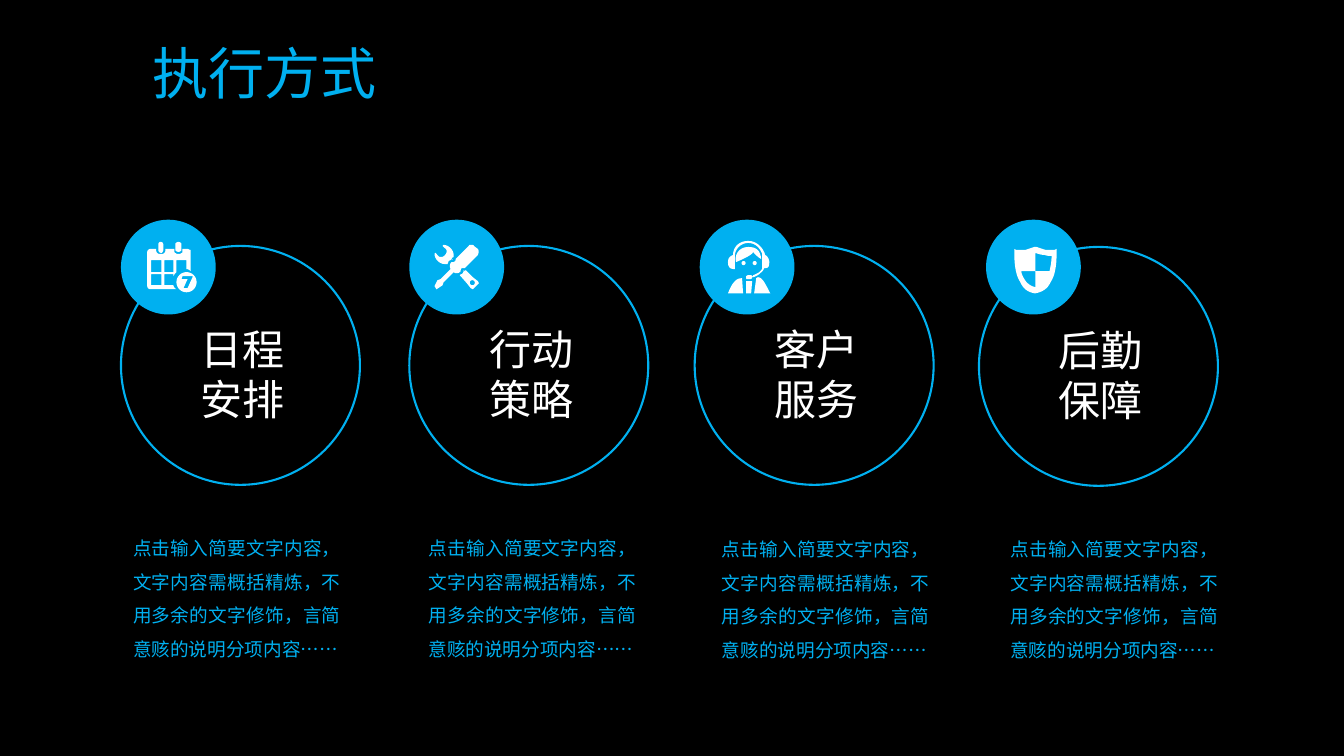
from math import cos, pi, sin

from lxml.etree import SubElement
from pptx import Presentation
from pptx.dml.color import RGBColor
from pptx.enum.shapes import MSO_SHAPE
from pptx.enum.text import MSO_ANCHOR, MSO_AUTO_SIZE, PP_ALIGN
from pptx.oxml.ns import qn
from pptx.util import Inches, Pt

FONT = "Noto Sans CJK SC"
BLUE, WHITE, BLACK = "00B0F0", "FFFFFF", "000000"
RING, DISC = 2.37, 0.94
DETAIL = "点击输入简要文字内容，文字内容需概括精炼，不用多余的文字修饰，言简意赅的说明分项内容……"

# Icon parts in hundredths of an inch from the disc's corner:
# M move, L line, C cubic curve, O circle (centre x, centre y, radius)
CALENDAR = [
    # Binder rings
    """M 57 22 C 56 22 54 23 54 24 L 54 30 C 54 31 56 32 57 32
    C 58 32 60 31 60 30 L 60 24 C 60 23 58 22 57 22""",
    """M 39 22 C 38 22 37 23 37 25 L 37 30 C 37 31 38 33 40 33
    C 41 33 42 31 42 30 L 42 25 C 42 23 41 22 39 22""",
    # Page
    """M 29 29 C 28 29 27 30 27 30 C 26 31 26 32 26 33 L 26 65 C 26 66 26 67 27 68
    C 27 68 28 69 29 69 L 55 69 C 53 68 52 66 52 65 L 43 65 L 43 54 L 52 54 L 52 56
    C 53 54 54 53 55 52 L 55 40 L 65 40 L 65 49 C 67 49 68 50 69 51 L 69 33
    C 69 32 69 31 69 30 C 68 30 67 29 66 29 L 61 29 L 61 31 C 61 32 61 33 60 33
    C 59 34 58 34 57 34 C 56 34 55 34 54 33 C 53 33 53 32 53 31 L 53 29 L 44 29
    L 44 31 C 44 32 43 33 43 33 C 42 34 41 34 40 34 C 38 34 37 34 36 33
    C 36 33 35 32 35 31 L 35 29""",
    # Day cells
    "M 30 40 L 40 40 L 40 52 L 30 52 M 43 40 L 52 40 L 52 52 L 43 52",
    "M 30 54 L 40 54 L 40 65 L 30 65",
    # Date badge
    "O 65 62 10 M 61 56 L 71 56 L 71 57 L 66 68 L 62 68 L 66 59 L 60 59",
]
TOOLS = [
    # Wrench handle and its hole
    """O 62.5 62.5 2.5 M 54 50 L 54 51 L 53 53 L 52 54 C 51 54 50 55 50 55 L 57 63
    L 61 68 L 63 69 L 69 63 L 68 61 L 63 57 L 56 50 L 55 51""",
    # Wrench head
    """M 41 40 L 42 39 L 43 40 L 42 38 L 44 37 C 44 36 44 36 44 35 C 44 30 39 25 34 25
    C 34 25 34 25 33 26 C 37 30 37 29 37 32 C 37 34 34 37 32 37 C 29 37 30 37 26 33
    C 25 33 25 34 25 34 C 25 39 30 44 35 44 L 38 44 C 38 43 39 42 39 41""",
    # Screwdriver
    """M 68 29 L 64 26 C 64 25 63 25 61 25 C 60 25 59 25 59 26 L 46 39
    C 46 40 46 41 45 41 C 45 42 44 42 43 42 L 42 42 L 41 43 C 40 45 40 47 41 49
    L 31 59 L 28 60 L 25 66 L 27 69 L 33 65 L 34 62 L 44 52 C 45 53 46 53 47 53
    C 48 53 49 53 50 52 L 51 51 C 51 50 51 49 52 48 L 55 48 L 68 35
    C 69 33 69 30 68 29""",
]
AGENT = [
    # Headset
    """M 48 21 C 39 21 33 27 33 35 C 30 36 28 38 28 42 C 28 48 31 49 35 49 L 35 35
    C 35 29 41 23 48 23 C 56 23 60 29 62 34 L 62 48 C 62 49 61 50 59 52
    C 56 54 53 55 53 55 C 53 56 52 56 52 57 L 53 57 C 53 57 57 56 60 53
    C 63 51 64 48 64 48 C 67 48 69 48 69 42 C 69 39 67 36 65 35
    C 63 28 57 21 48 21""",
    # Hair and eyes
    """M 48 27 C 39 27 34 35 36 42 C 36 42 53 35 53 32 C 57 37 61 39 61 39
    C 60 30 56 27 48 27 O 43.5 43 2 O 54.5 43 2""",
    # Microphone
    """M 50 55 L 48 55 C 47 55 46 56 46 56 L 46 58 C 46 59 47 59 48 59 L 50 59
    C 51 59 52 58 52 57 L 52 56 C 52 55 51 55 50 55""",
    # Jacket and tie
    "M 58 57 C 57 57 56 58 56 58 L 54 73 L 70 73 C 67 68 63 57 58 57",
    "M 41 58 C 34 58 30 68 28 73 L 43 73 L 42 58",
    "M 46 61 L 46 73 L 51 73 L 52 61",
]
SHIELD = [
    # Rim
    """M 30 30 C 33 30 36 30 39 30 C 42 29 45 28 48 27 L 50 27 C 53 28 56 29 59 30
    C 62 30 65 30 68 30 L 70 29 L 70 33 C 70 47 68 56 64 62 C 61 69 55 72 49 73
    L 48 73 C 42 72 37 69 34 62 C 30 56 28 47 28 33 L 28 29""",
    # Open quarters
    "M 49 51 L 63 51 C 64 46 65 42 65 36 C 63 36 61 36 58 35 C 55 35 52 34 49 33",
    "M 49 67 L 49 51 L 35 51 C 35 54 37 57 38 59 C 41 64 45 66 49 67",
]

# Ring left and top, disc left, detail left and top, two label lines, icon
METHODS = [
    (1.20, 2.44, 1.20, 1.32, 5.22, ("日程", "安排"), CALENDAR),
    (4.06, 2.44, 4.06, 4.25, 5.22, ("行动", "策略"), TOOLS),
    (6.89, 2.44, 6.94, 7.16, 5.23, ("客户", "服务"), AGENT),
    (9.71, 2.45, 9.78, 10.02, 5.23, ("后勤", "保障"), SHIELD),
]


def color(hex_value):
    return RGBColor.from_string(hex_value)


def add_run(paragraph, text, size, hex_value):
    run = paragraph.add_run()
    run.text = text
    run.font.size = Pt(size)
    run.font.color.rgb = color(hex_value)
    run.font.name = FONT
    SubElement(run.font._element, qn("a:ea"), typeface=FONT)


def set_frame(frame, wrap=True, margins=True):
    frame.word_wrap = wrap
    frame.auto_size = MSO_AUTO_SIZE.SHAPE_TO_FIT_TEXT
    frame.vertical_anchor = MSO_ANCHOR.TOP
    if not margins:
        frame.margin_left = frame.margin_right = 0
        frame.margin_top = frame.margin_bottom = 0


def add_circle(slide, left, top, size):
    circle = slide.shapes.add_shape(
        MSO_SHAPE.OVAL, Inches(left), Inches(top), Inches(size), Inches(size))
    circle.shadow.inherit = False
    return circle


def contours(part):
    """Turn a part into lists of points, with curves cut into short lines."""
    tokens = iter(part.split())
    result = []
    for command in tokens:
        count = {"M": 2, "L": 2, "C": 6, "O": 3}[command]
        values = [float(next(tokens)) for _ in range(count)]
        if command == "M":
            result.append([values])
        elif command == "L":
            result[-1].append(values)
        elif command == "O":
            x, y, r = values
            result.append([(x + r * cos(i * pi / 16), y + r * sin(i * pi / 16))
                           for i in range(32)])
        else:
            points = [result[-1][-1], values[:2], values[2:4], values[4:]]
            for t in (i / 8 for i in range(1, 9)):
                weights = ((1 - t) ** 3, 3 * t * (1 - t) ** 2, 3 * t * t * (1 - t), t ** 3)
                result[-1].append([sum(w * p[axis] for w, p in zip(weights, points))
                                   for axis in (0, 1)])
    return result


def add_icon(slide, left, top, parts):
    builder = None
    for contour in (c for part in parts for c in contours(part)):
        start, *rest = [(x * 100, y * 100) for x, y in contour]
        if builder is None:
            builder = slide.shapes.build_freeform(*start, scale=Inches(1) / 10000)
        else:
            builder.move_to(*start)
        builder.add_line_segments(rest, close=True)
    icon = builder.convert_to_shape(Inches(left), Inches(top))
    icon.shadow.inherit = False
    icon.fill.solid()
    icon.fill.fore_color.rgb = color(WHITE)
    icon.line.fill.background()


def add_title(slide, left, top, width, height):
    title = slide.shapes.title
    title.left, title.top = Inches(left), Inches(top)
    title.width, title.height = Inches(width), Inches(height)
    set_frame(title.text_frame, margins=False)
    heading = title.text_frame.paragraphs[0]
    heading.alignment = PP_ALIGN.LEFT
    add_run(heading, "执行方式", 40, BLUE)


def add_emblem(slide, left, top, disc_left, disc_top, words, parts):
    # Ring
    ring = add_circle(slide, left, top, RING)
    ring.fill.background()
    ring.line.color.rgb = color(BLUE)
    ring.line.width = Pt(1.5)
    # Two-line label
    label = slide.shapes.add_textbox(
        Inches(left + 0.69), Inches(top + 0.72), Inches(1.04), Inches(1.11)).text_frame
    set_frame(label, wrap=False)
    for i, word in enumerate(words):
        line = label.add_paragraph() if i else label.paragraphs[0]
        line.alignment = PP_ALIGN.CENTER
        add_run(line, word, 30, WHITE)
    # Disc with icon
    disc = add_circle(slide, disc_left, disc_top, DISC)
    disc.fill.solid()
    disc.fill.fore_color.rgb = color(BLUE)
    disc.line.fill.background()
    add_icon(slide, disc_left, disc_top, parts)


def add_detail(slide, left, top, width, height):
    detail = slide.shapes.add_textbox(
        Inches(left), Inches(top), Inches(width), Inches(height)).text_frame
    set_frame(detail, margins=False)
    paragraph = detail.paragraphs[0]
    paragraph.alignment = PP_ALIGN.JUSTIFY
    paragraph.line_spacing = 1.5
    add_run(paragraph, DETAIL, 13.3, BLUE)


deck = Presentation()
deck.slide_width, deck.slide_height = Inches(13.33), Inches(7.5)
slide = deck.slides.add_slide(deck.slide_layouts[5])
slide.background.fill.solid()
slide.background.fill.fore_color.rgb = color(BLACK)
add_title(slide, 1.51, 0.38, 3.83, 0.67)
for left, top, disc_left, detail_left, detail_top, words, parts in METHODS:
    add_emblem(slide, left, top, disc_left, 2.18, words, parts)
    add_detail(slide, detail_left, detail_top, 2.06, 1.35)
deck.save("out.pptx")
